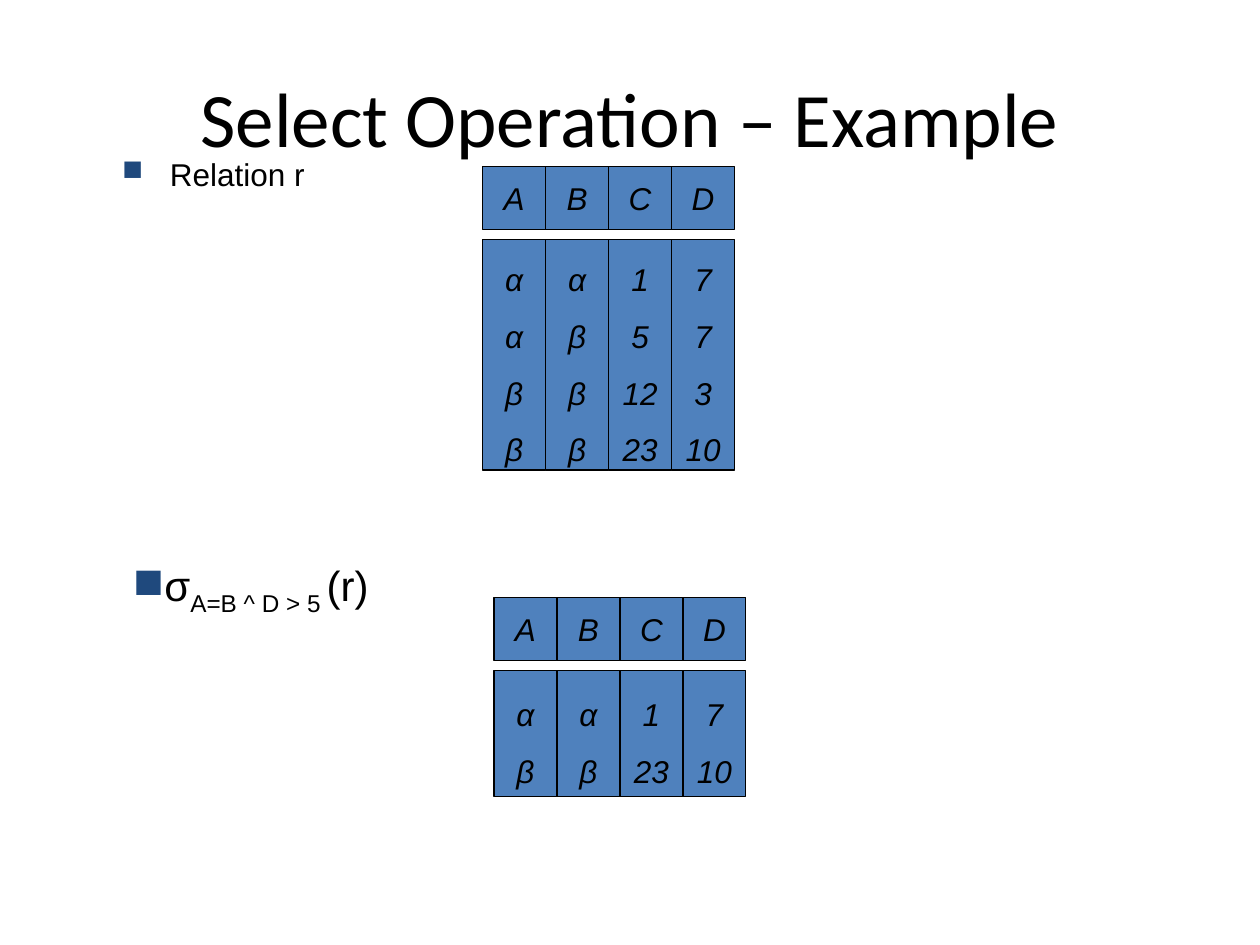
from lxml.etree import SubElement
from pptx import Presentation
from pptx.dml.color import RGBColor
from pptx.enum.shapes import MSO_SHAPE as Shape
from pptx.enum.text import MSO_ANCHOR as Anchor, MSO_AUTO_SIZE as AutoSize, PP_ALIGN as Align
from pptx.oxml.ns import qn
from pptx.util import Inches, Pt

BLACK = RGBColor(0x00, 0x00, 0x00)
BLUE = RGBColor(0x4F, 0x81, 0xBD)
NAVY = RGBColor(0x1F, 0x49, 0x7D)
CELL = 0.5
BODY_OFFSET = 0.58
HEADERS = ["A", "B", "C", "D"]
RELATION_ROWS = [("α", "α", "1", "7"), ("α", "β", "5", "7"),
                 ("β", "β", "12", "3"), ("β", "β", "23", "10")]
SELECTED_ROWS = [RELATION_ROWS[0], RELATION_ROWS[-1]]


def add_run(paragraph, text, size=18, font="Arial", italic=False, baseline=None):
    """Append a formatted run to a paragraph."""
    run = paragraph.add_run()
    run.text = text
    run.font.size = Pt(size)
    run.font.name = font
    run.font.italic = italic
    run.font.color.rgb = BLACK
    if baseline is not None:
        run._r.get_or_add_rPr().set("baseline", str(baseline * 1000))


def add_bullet(paragraph, indent, percent=100):
    """Give a paragraph a navy square bullet with a hanging indent."""
    properties = paragraph._p.get_or_add_pPr()
    properties.set("marL", str(Inches(indent)))
    properties.set("indent", str(-Inches(indent)))
    color = SubElement(properties, qn("a:buClr"))
    SubElement(color, qn("a:srgbClr"), val=str(NAVY))
    SubElement(properties, qn("a:buSzPct"), val=str(percent * 1000))
    SubElement(properties, qn("a:buChar"), char="■")


def add_text_box(slide, left, top, width, height, anchor=Anchor.TOP,
                 align=Align.LEFT, wrap=True, space_before=0):
    """Add a text box and return its shape and first paragraph."""
    shape = slide.shapes.add_textbox(Inches(left), Inches(top), Inches(width), Inches(height))
    frame = shape.text_frame
    frame.word_wrap = wrap
    frame.vertical_anchor = anchor
    paragraph = frame.paragraphs[0]
    paragraph.alignment = align
    paragraph.space_before = Pt(space_before)
    return shape, paragraph


def add_cell(slide, left, top, height, values, line_spacing=None):
    """Add an outlined blue box with one centred line per value."""
    shape = slide.shapes.add_shape(Shape.RECTANGLE, Inches(left), Inches(top),
                                   Inches(CELL), Inches(height))
    shape.shadow.inherit = False
    shape.fill.solid()
    shape.fill.fore_color.rgb = BLUE
    shape.line.color.rgb = BLACK
    shape.line.width = Pt(0.75)
    frame = shape.text_frame
    frame.word_wrap = False
    frame.vertical_anchor = Anchor.MIDDLE
    for index, value in enumerate(values):
        paragraph = frame.add_paragraph() if index else frame.paragraphs[0]
        paragraph.alignment = Align.CENTER
        paragraph.line_spacing = line_spacing
        add_run(paragraph, value, italic=True)


def add_relation(slide, left, top, body_height, rows):
    """Add a header row and, below a gap, one tall box per column."""
    for index, header in enumerate(HEADERS):
        add_cell(slide, left + index * CELL, top, CELL, [header])
    for index, column in enumerate(zip(*rows)):
        add_cell(slide, left + index * CELL, top + BODY_OFFSET, body_height, column, 1.5)


def main():
    """Build and save the slide."""
    presentation = Presentation()
    presentation.slide_width = Inches(10)
    presentation.slide_height = Inches(7.5)
    slide = presentation.slides.add_slide(presentation.slide_layouts[6])

    _, title = add_text_box(slide, 0.5, 0.3, 9, 1.25, Anchor.MIDDLE, Align.CENTER)
    add_run(title, "Select Operation – Example", size=44, font="Calibri")

    _, label = add_text_box(slide, 0.87, 1.18, 1.79, 0.4, space_before=7.9)
    add_bullet(label, 0.38, percent=90)
    add_run(label, "Relation r")
    add_relation(slide, 3.83, 1.32, 1.83, RELATION_ROWS)

    box, formula = add_text_box(slide, 0.95, 4.39, 2.08, 0.56, Anchor.MIDDLE,
                                Align.CENTER, wrap=False, space_before=15)
    box.text_frame.auto_size = AutoSize.SHAPE_TO_FIT_TEXT
    add_bullet(formula, 0.25)
    add_run(formula, "σ", size=24)
    add_run(formula, "A=B ^ D > 5", size=24, baseline=-25)
    add_run(formula, " ", size=20, baseline=-25)
    add_run(formula, "(r)", size=24)
    add_relation(slide, 3.92, 4.74, 1, SELECTED_ROWS)

    presentation.save("out.pptx")


if __name__ == "__main__":
    main()
